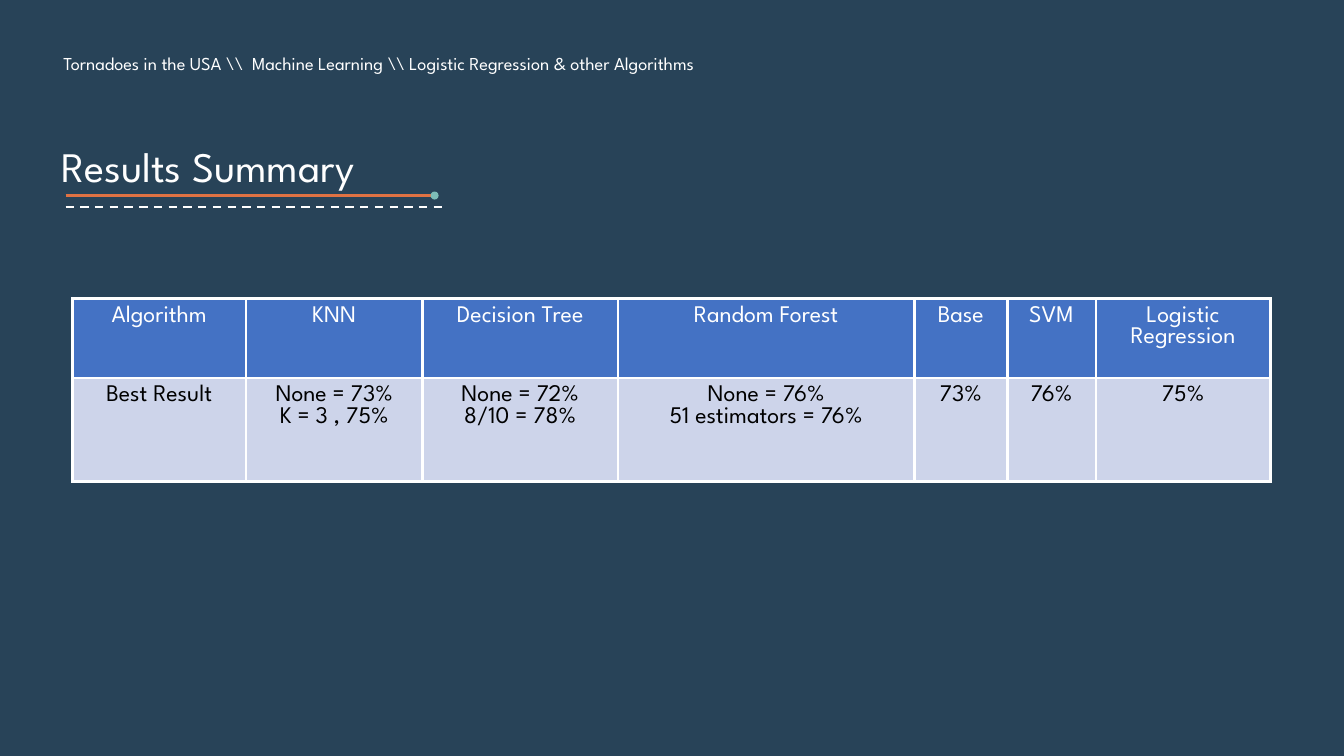
from dataclasses import dataclass

from lxml import etree
from pptx import Presentation
from pptx.dml.color import RGBColor
from pptx.enum.dml import MSO_LINE
from pptx.enum.shapes import MSO_CONNECTOR, MSO_SHAPE
from pptx.enum.text import MSO_ANCHOR, PP_ALIGN
from pptx.oxml.ns import qn
from pptx.util import Inches, Pt

STRAIGHT = MSO_CONNECTOR.STRAIGHT
OVAL = MSO_SHAPE.OVAL
DASH = MSO_LINE.DASH
TOP = MSO_ANCHOR.TOP
LEFT, CENTER = PP_ALIGN.LEFT, PP_ALIGN.CENTER


@dataclass(frozen=True)
class Theme:
    font: str = "League Spartan"
    background: str = "284358"
    white: str = "FFFFFF"
    black: str = "000000"
    accent: str = "E07243"
    dot: str = "7EBDB8"
    header_fill: str = "4472C4"
    body_fill: str = "CDD4EA"
    breadcrumb_size: float = 13
    title_size: float = 30
    table_size: float = 17
    rule_width: float = 1.5
    border_width: float = 2.25


THEME = Theme()
SLIDE_WIDTH, SLIDE_HEIGHT = 13.33, 7.5

BREADCRUMB = r"Tornadoes in the USA \\  Machine Learning \\ Logistic Regression & other Algorithms"
TITLE = "Results Summary"

# Algorithm, best results, column width
RESULTS = [
    ("Algorithm", ["Best Result"], 1.72),
    ("KNN", ["None = 73%", "K = 3 , 75%"], 1.75),
    ("Decision Tree", ["None = 72%", "8/10 = 78%"], 1.94),
    ("Random Forest", ["None = 76%", "51 estimators = 76%"], 2.94),
    ("Base", ["73%"], 0.92),
    ("SVM", ["76%"], 0.88),
    ("Logistic Regression", ["75%"], 1.73),
]
ROW_HEIGHTS = [0.79, 1.03]


def color(value):
    return RGBColor.from_string(value)


def write_text(text_frame, lines, size, text_color=THEME.white, align=LEFT, spacing=None):
    """Fill a text frame with one paragraph per line."""
    for index, line in enumerate(lines):
        paragraph = text_frame.paragraphs[0] if index == 0 else text_frame.add_paragraph()
        paragraph.alignment = align
        if spacing:
            paragraph.line_spacing = spacing
        run = paragraph.add_run()
        run.text = line
        run.font.name = THEME.font
        run.font.size = Pt(size)
        run.font.color.rgb = color(text_color)


def add_text(slide, box, text, **text_format):
    text_frame = slide.shapes.add_textbox(*map(Inches, box)).text_frame
    text_frame.word_wrap = True
    text_frame.vertical_anchor = TOP
    text_frame.margin_left = text_frame.margin_right = Inches(0.1)
    text_frame.margin_top = text_frame.margin_bottom = Inches(0.1)
    write_text(text_frame, [text], **text_format)


def add_rule(slide, left, top, width, line_color, dash=None):
    rule = slide.shapes.add_connector(
        STRAIGHT, Inches(left), Inches(top), Inches(left + width), Inches(top))
    rule.line.color.rgb = color(line_color)
    rule.line.width = Pt(THEME.rule_width)
    if dash:
        rule.line.dash_style = dash
    etree.SubElement(rule._element.spPr, qn("a:effectLst"))


def add_heading(slide, box):
    """Title with a solid rule ending in a dot, and a dashed rule below."""
    left, top, width, height = box
    add_text(slide, box, TITLE, size=THEME.title_size, spacing=1.15)

    rule_left, rule_top = left + 0.14, top + height + 0.01
    solid_length, dashed_length, dot_size = 3.65, 3.75, 0.08
    add_rule(slide, rule_left, rule_top, solid_length, THEME.accent)
    add_rule(slide, rule_left, rule_top + 0.11, dashed_length, THEME.white, DASH)

    dot_left = rule_left + solid_length + 0.01 - dot_size / 2
    dot = slide.shapes.add_shape(
        OVAL, Inches(dot_left), Inches(rule_top - dot_size / 2),
        Inches(dot_size), Inches(dot_size))
    dot.shadow.inherit = False
    dot.fill.solid()
    dot.fill.fore_color.rgb = color(THEME.dot)
    dot.line.fill.background()


def set_borders(cell):
    properties = cell._tc.get_or_add_tcPr()
    for side in ("a:lnL", "a:lnR", "a:lnT", "a:lnB"):
        border = etree.SubElement(properties, qn(side), w=str(Pt(THEME.border_width)))
        fill = etree.SubElement(border, qn("a:solidFill"))
        etree.SubElement(fill, qn("a:srgbClr"), val=THEME.white)


def fill_cell(cell, lines, fill_color, text_color):
    set_borders(cell)
    cell.fill.solid()
    cell.fill.fore_color.rgb = color(fill_color)
    cell.margin_left = cell.margin_right = Inches(0.14)
    cell.margin_top = cell.margin_bottom = Inches(0.07)
    cell.vertical_anchor = TOP
    write_text(cell.text_frame, lines, THEME.table_size, text_color, CENTER)


def add_results_table(slide, box):
    table = slide.shapes.add_table(
        len(ROW_HEIGHTS), len(RESULTS), *map(Inches, box)).table
    table.first_row = table.horz_banding = False
    for row, height in zip(table.rows, ROW_HEIGHTS):
        row.height = Inches(height)
    for index, (algorithm, results, width) in enumerate(RESULTS):
        table.columns[index].width = Inches(width)
        fill_cell(table.cell(0, index), [algorithm], THEME.header_fill, THEME.white)
        fill_cell(table.cell(1, index), results, THEME.body_fill, THEME.black)


def build_results_slide(presentation):
    slide = presentation.slides.add_slide(presentation.slide_layouts[6])
    slide.background.fill.solid()
    slide.background.fill.fore_color.rgb = color(THEME.background)

    # Breadcrumb, heading, table
    add_text(slide, (0.53, 0.42, 12.27, 0.66), BREADCRUMB, size=THEME.breadcrumb_size)
    add_heading(slide, (0.51, 1.22, 11.05, 0.71))
    table_width = sum(width for _, _, width in RESULTS)
    add_results_table(slide, (0.72, 2.96, table_width, sum(ROW_HEIGHTS)))


def main():
    presentation = Presentation()
    presentation.slide_width = Inches(SLIDE_WIDTH)
    presentation.slide_height = Inches(SLIDE_HEIGHT)
    build_results_slide(presentation)
    presentation.save("out.pptx")


if __name__ == "__main__":
    main()
